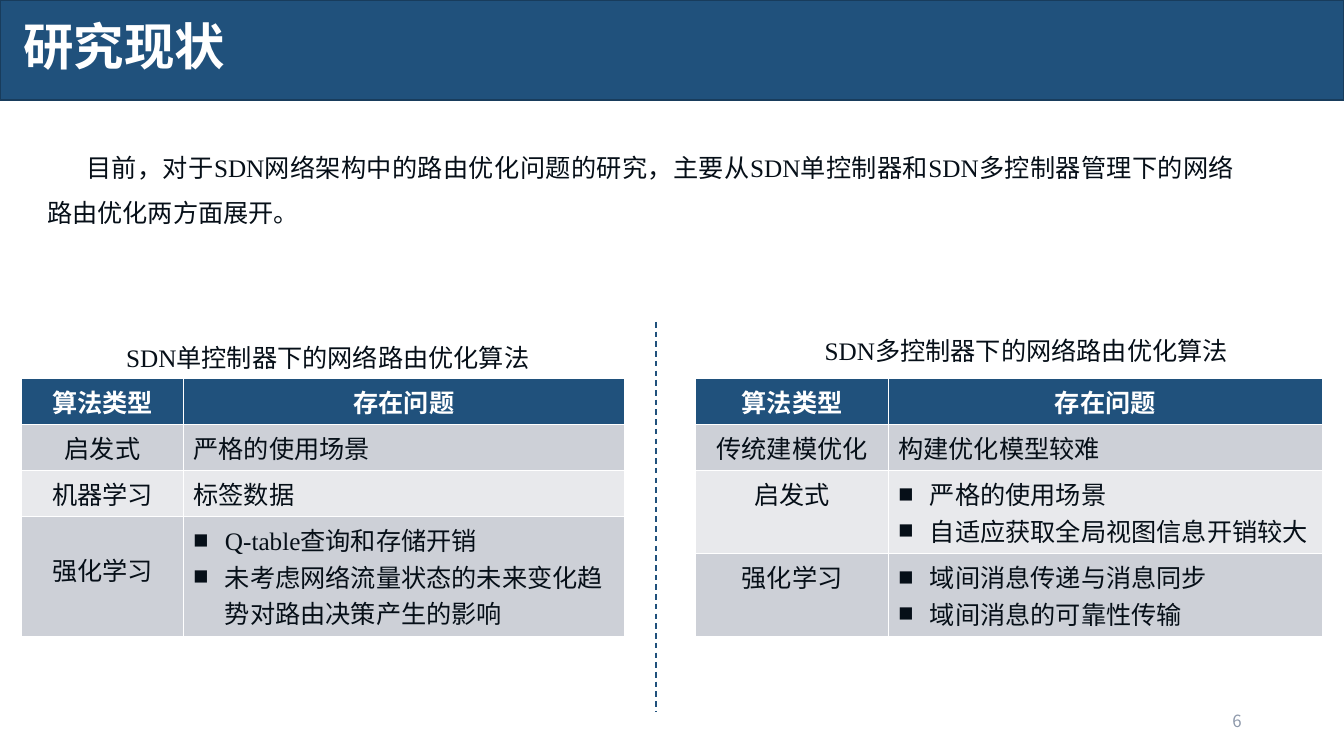
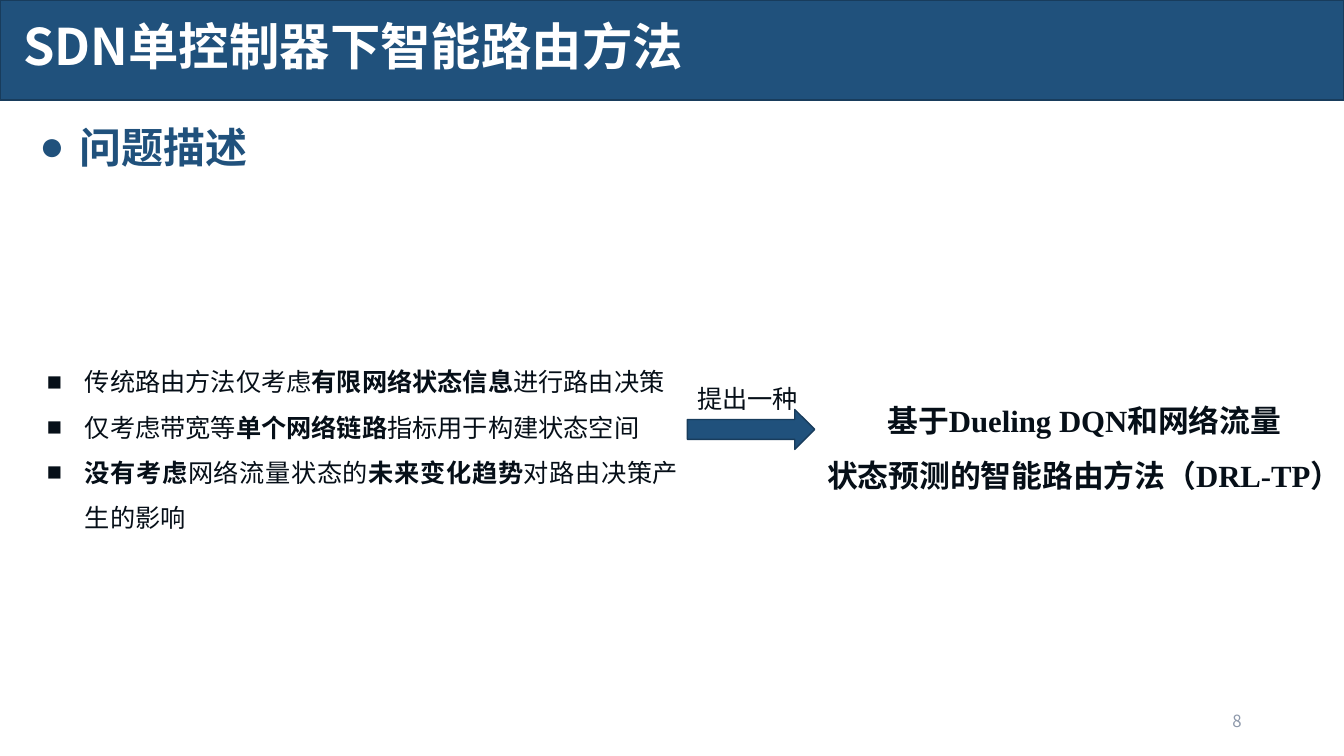
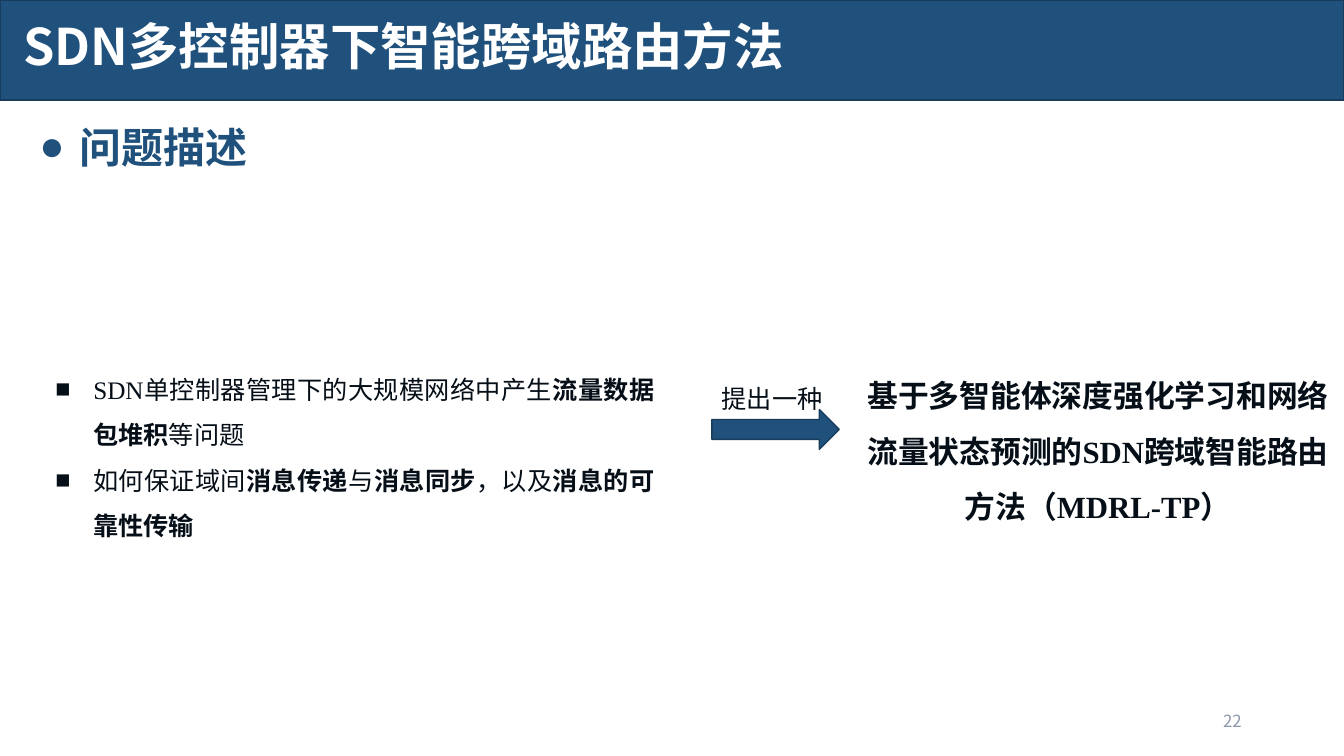
from lxml.etree import SubElement
from pptx import Presentation
from pptx.dml.color import RGBColor
from pptx.enum.dml import MSO_LINE_DASH_STYLE as DASH
from pptx.enum.shapes import MSO_CONNECTOR, MSO_SHAPE
from pptx.enum.text import MSO_ANCHOR, MSO_AUTO_SIZE, PP_ALIGN as ALIGN
from pptx.oxml.ns import qn
from pptx.util import Pt

COLORS = {name: RGBColor.from_string(value) for name, value in {
    "blue": "20517C", "edge": "183C5C", "ink": "060F18", "white": "FFFFFF",
    "number": "8D98AA", "row_dark": "CDD0D7", "row_light": "E8E9EC",
}.items()}
SANS, SERIF = "Noto Sans CJK SC", "Times New Roman"


def write(p, text, size=18, color="ink", font=SERIF, bold=False,
          align=ALIGN.LEFT, spacing=None, bullet=None, hang=0):
    """Fill a paragraph; parts between asterisks are bold."""
    pPr = p._p.get_or_add_pPr()
    if bullet:
        pPr.set("marL", str(Pt(hang)))
        pPr.set("indent", str(-Pt(hang)))
        SubElement(pPr, qn("a:buFont"), typeface=SERIF)
        SubElement(pPr, qn("a:buChar"), char=bullet)
    p.alignment = align
    if spacing:
        p.line_spacing = spacing
    for i, part in enumerate(text.split("*")):
        if part:
            r = p.add_run()
            r.text = part
            r.font.size, r.font.name = Pt(size), font
            r.font.bold = bold or i % 2 == 1
            r.font.color.rgb = COLORS[color]
            SubElement(r._r.get_or_add_rPr(), qn("a:ea"), typeface=SANS)


def add_text(s, left, top, width, height, lines, **style):
    tf = s.shapes.add_textbox(Pt(left), Pt(top), Pt(width), Pt(height)).text_frame
    tf.word_wrap = True
    for i, line in enumerate(lines):
        write(tf.add_paragraph() if i else tf.paragraphs[0], line, **style)
    return tf


prs = Presentation()
prs.slide_width, prs.slide_height = Pt(960), Pt(540)

# Title band and page number on every slide
slides = []
for title, number in [("研究现状", "6"), ("SDN单控制器下智能路由方法", "8"),
                      ("SDN多控制器下智能跨域路由方法", "22")]:
    s = prs.slides.add_slide(prs.slide_layouts[5])
    slides.append(s)
    band = s.shapes.add_shape(MSO_SHAPE.RECTANGLE, 0, 0, prs.slide_width, Pt(71.5))
    band.shadow.inherit = False
    band.fill.solid()
    band.fill.fore_color.rgb = COLORS["blue"]
    band.line.color.rgb = COLORS["edge"]
    band.line.width = Pt(1)
    sp = s.shapes.title
    band._element.addnext(sp._element)
    sp.left, sp.top, sp.width, sp.height = Pt(9.5), Pt(16), Pt(930), Pt(39)
    tf = sp.text_frame
    tf.auto_size, tf.word_wrap = MSO_AUTO_SIZE.NONE, True
    tf.vertical_anchor = MSO_ANCHOR.MIDDLE
    write(tf.paragraphs[0], title, 36, "white", SANS, bold=True, spacing=0.9)
    tf = add_text(s, 678, 500, 216, 29, [number], size=12, color="number",
                  font=SANS, align=ALIGN.RIGHT)
    tf.vertical_anchor = MSO_ANCHOR.MIDDLE

# Slide 1: research status
s = slides[0]
tf = add_text(s, 26.5, 94.5, 862, 69,
              ["目前，对于SDN网络架构中的路由优化问题的研究，主要从SDN单控制器和SDN多控制器管理下的网络路由优化两方面展开。"],
              align=ALIGN.JUSTIFY, spacing=1.5)
tf.paragraphs[0]._p.pPr.set("indent", str(Pt(28)))
add_text(s, 83, 241, 318, 29, ["SDN单控制器下的网络路由优化算法"])
add_text(s, 582, 236, 318, 29, ["SDN多控制器下的网络路由优化算法"])

header = ("算法类型", ["存在问题"])
single = [header, ("启发式", ["严格的使用场景"]), ("机器学习", ["标签数据"]),
          ("强化学习", ["Q-table查询和存储开销",
                    "未考虑网络流量状态的未来变化趋势对路由决策产生的影响"])]
multi = [header, ("传统建模优化", ["构建优化模型较难"]),
         ("启发式", ["严格的使用场景", "自适应获取全局视图信息开销较大"]),
         ("强化学习", ["域间消息传递与消息同步", "域间消息的可靠性传输"])]
tables = []
for left, widths, heights, rows in [
        (15.5, (115.5, 315), (33, 33, 33, 85.5), single),
        (497, (137.5, 310), (33, 33, 59.25, 59.25), multi)]:
    table = s.shapes.add_table(len(rows), 2, Pt(left), Pt(270),
                               Pt(sum(widths)), Pt(sum(heights))).table
    tables.append(table)
    for column, width in zip(table.columns, widths):
        column.width = Pt(width)
    for i, (kind, problems) in enumerate(rows):
        table.rows[i].height = Pt(heights[i])
        fill = "blue" if i == 0 else "row_dark" if i % 2 else "row_light"
        for j, lines in enumerate([[kind], problems]):
            cell = table.cell(i, j)
            cell.fill.solid()
            cell.fill.fore_color.rgb = COLORS[fill]
            tf = cell.text_frame
            for k, line in enumerate(lines):
                write(tf.add_paragraph() if k else tf.paragraphs[0], line,
                      color="ink" if i else "white", bold=i == 0,
                      align=ALIGN.LEFT if i and j else ALIGN.CENTER,
                      bullet="■" if len(lines) > 1 else None, hang=22.5)
tables[0].cell(3, 0).margin_top = Pt(24.5)

divider = s.shapes.add_connector(MSO_CONNECTOR.STRAIGHT, Pt(468.5), Pt(230),
                                 Pt(468.5), Pt(508))
divider.line.color.rgb = COLORS["blue"]
divider.line.width = Pt(1)
divider.line.dash_style = DASH.DASH
SubElement(divider._element.spPr, qn("a:effectLst"))

# Slides 2 and 3: problems, arrow, proposed method
for s, problem_box, problems, arrow_left, method_box, method in [
        (slides[1], (26.5, 247.5, 465, 165),
         ["传统路由方法仅考虑*有限网络状态信息*进行路由决策",
          "仅考虑带宽等*单个网络链路*指标用于构建状态空间",
          "*没有考虑*网络流量状态的*未来变化趋势*对路由决策产生的影响"],
         491, (582, 270, 385, 116),
         ["基于Dueling DQN和网络流量", "状态预测的智能路由方法（DRL-TP）"]),
        (slides[2], (32.5, 253, 442, 134),
         ["SDN单控制器管理下的大规模网络中产生*流量数据包堆积*等问题",
          "如何保证域间*消息传递*与*消息同步*，以及*消息的可靠性传输*"],
         508.5, (608.5, 252.5, 351.5, 122.5),
         ["基于多智能体深度强化学习和网络流量状态预测的SDN跨域智能路由方法（MDRL-TP）"])]:
    add_text(s, 21, 83, 505, 44, ["问题描述"], size=30, color="blue", font=SANS,
             bold=True, align=ALIGN.JUSTIFY, bullet="●", hang=29)
    add_text(s, *problem_box, problems, align=ALIGN.JUSTIFY, spacing=1.5,
             bullet="■", hang=27)
    arrow = s.shapes.add_shape(MSO_SHAPE.RIGHT_ARROW, Pt(arrow_left), Pt(292.5),
                               Pt(91), Pt(28.5))
    arrow.shadow.inherit = False
    arrow.fill.solid()
    arrow.fill.fore_color.rgb = COLORS["blue"]
    arrow.line.color.rgb = COLORS["edge"]
    arrow.line.width = Pt(1)
    add_text(s, arrow_left, 270, 97, 29, ["提出一种"], font=SANS)
    add_text(s, *method_box, method, size=22, bold=True, align=ALIGN.CENTER,
             spacing=1.5)

prs.save("out.pptx")
